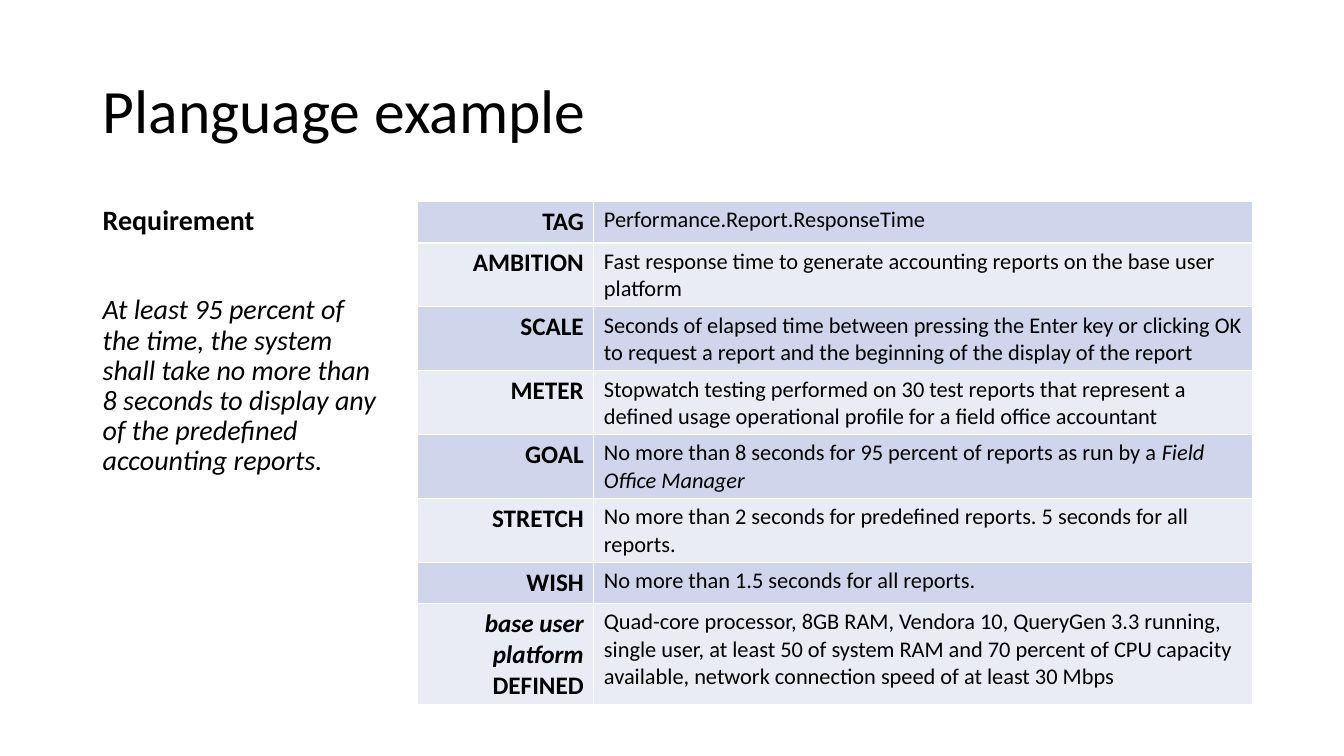
from lxml import etree
from pptx import Presentation
from pptx.dml.color import RGBColor
from pptx.enum.text import MSO_ANCHOR, PP_ALIGN
from pptx.oxml.ns import qn
from pptx.util import Inches, Pt

BLACK = RGBColor(0x00, 0x00, 0x00)
WHITE = RGBColor(0xFF, 0xFF, 0xFF)
DARK = RGBColor(0xCF, 0xD5, 0xEA)
LIGHT = RGBColor(0xE9, 0xEB, 0xF5)
TOP, MIDDLE = MSO_ANCHOR.TOP, MSO_ANCHOR.MIDDLE
LEFT, RIGHT = PP_ALIGN.LEFT, PP_ALIGN.RIGHT

FONT = "Calibri"
PLAIN = {"size": Pt(16), "bold": False}
LABEL = {"size": Pt(18), "bold": True}
ITALIC = {"italic": True}

NEED = ("At least 95 percent of the time, the system shall take no more than "
        "8 seconds to display any of the predefined accounting reports.")

# Each cell is a list of (text, extra format) runs
ROWS = [
    ([("TAG", {})], [("Performance.Report.ResponseTime", {})]),
    ([("AMBITION", {})],
     [("Fast response time to generate accounting reports on the base user "
       "platform", {})]),
    ([("SCALE", {})],
     [("Seconds of elapsed time between pressing the Enter key or clicking OK "
       "to request a report and the beginning of the display of the report", {})]),
    ([("METER", {})],
     [("Stopwatch testing performed on 30 test reports that represent a "
       "defined usage operational profile for a field office accountant", {})]),
    ([("GOAL", {})],
     [("No more than 8 seconds for 95 percent of reports as run by a ", {}),
      ("Field Office Manager", ITALIC)]),
    ([("STRETCH", {})],
     [("No more than 2 seconds for predefined reports. 5 seconds for all "
       "reports.", {})]),
    ([("WISH", {})], [("No more than 1.5 seconds for all reports.", {})]),
    ([("base user platform", ITALIC), (" DEFINED", {})],
     [("Quad-core processor, 8GB RAM, Vendora 10, QueryGen 3.3 running, "
       "single user, at least 50 of system RAM and 70 percent of CPU capacity "
       "available, network connection speed of at least 30 Mbps", {})]),
]


def add_run(para, text, form):
    run = para.add_run()
    run.text = text
    run.font.color.rgb = BLACK
    for name, value in {"name": FONT, **form}.items():
        setattr(run.font, name, value)


def add_text(slide, box, lines, anchor=TOP):
    """Add a text box; each line is (text, run format, paragraph format)."""
    frame = slide.shapes.add_textbox(*map(Inches, box)).text_frame
    frame.word_wrap = True
    frame.vertical_anchor = anchor
    for i, (text, form, layout) in enumerate(lines):
        para = frame.add_paragraph() if i else frame.paragraphs[0]
        for name, value in {"line_spacing": 0.9, **layout}.items():
            setattr(para, name, value)
        add_run(para, text, form)


def add_edges(cell):
    props = cell._tc.get_or_add_tcPr()
    for i, side in enumerate(("lnL", "lnR", "lnT", "lnB")):
        line = etree.Element(qn(f"a:{side}"), w=str(Pt(1)))
        fill = etree.SubElement(line, qn("a:solidFill"))
        etree.SubElement(fill, qn("a:srgbClr"), val=str(WHITE))
        props.insert(i, line)


def fill_cell(cell, runs, form, align, color):
    cell.fill.solid()
    cell.fill.fore_color.rgb = color
    add_edges(cell)
    para = cell.text_frame.paragraphs[0]
    para.alignment = align
    for text, extra in runs:
        add_run(para, text, {**form, **extra})


def add_grid(slide, box, widths, height):
    table = slide.shapes.add_table(
        len(ROWS), len(widths), *map(Inches, box)).table
    table.first_row = False
    for col, width in zip(table.columns, widths):
        col.width = Inches(width)
    for i, (label, detail) in enumerate(ROWS):
        table.rows[i].height = Inches(height)
        color = LIGHT if i % 2 else DARK
        fill_cell(table.cell(i, 0), label, LABEL, RIGHT, color)
        fill_cell(table.cell(i, 1), detail, PLAIN, LEFT, color)


def main():
    deck = Presentation()
    deck.slide_width, deck.slide_height = Inches(13.33), Inches(7.5)
    slide = deck.slides.add_slide(deck.slide_layouts[6])

    # Title
    add_text(slide, (0.92, 0.4, 11.5, 1.45),
             [("Planguage example", {"size": Pt(44)}, {})], MIDDLE)

    # Requirement in plain words
    add_text(slide, (0.92, 2, 3, 4.76), [
        ("Requirement", {"size": Pt(20), "bold": True}, {}),
        (NEED, {"size": Pt(20), "italic": True}, {"space_before": Pt(42)}),
    ])

    # Planguage table
    add_grid(slide, (4.14, 2, 8.28, 3.28), (1.75, 6.53), 0.41)

    deck.save("out.pptx")


if __name__ == "__main__":
    main()
